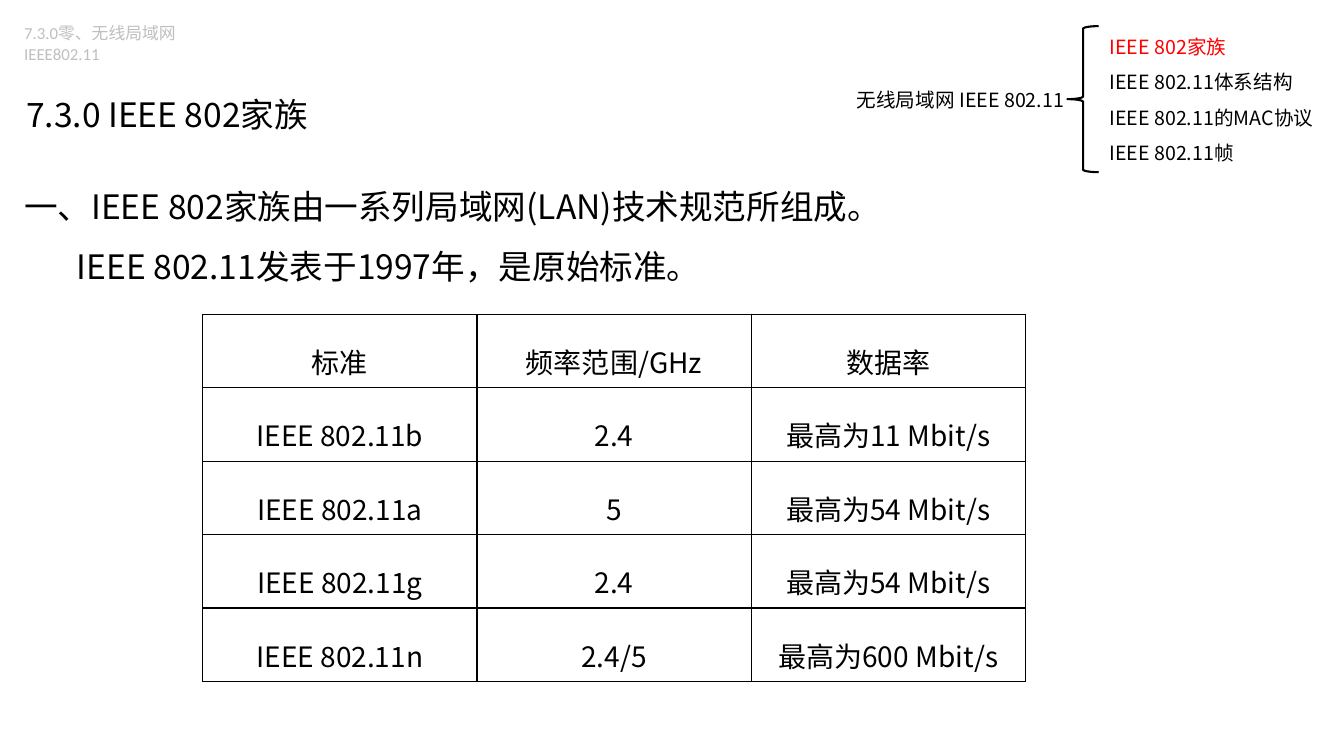
from pptx import Presentation
from pptx import util as u
from pptx.dml import color
from pptx.enum import shapes, text
from pptx.oxml import ns, xmlchemy

Cm, Pt = u.Cm, u.Pt
CJK = "Noto Sans CJK SC"
BLACK, RED, GREY = "000000", "FF0000", "BFBFBF"
ROWS = [
    ("标准", "频率范围/GHz", "数据率"),
    ("IEEE 802.11b", "2.4", "最高为11 Mbit/s"),
    ("IEEE 802.11a", "5", "最高为54 Mbit/s"),
    ("IEEE 802.11g", "2.4", "最高为54 Mbit/s"),
    ("IEEE 802.11n", "2.4/5", "最高为600 Mbit/s"),
]


def rgb(value):
    return color.RGBColor.from_string(value)


def sub(parent, tag, **attrs):
    el = xmlchemy.OxmlElement(tag)
    for name, value in attrs.items():
        el.set(name, value)
    parent.append(el)
    return el


def format_paragraph(p, size, fill=BLACK, font=CJK, spacing=1.5):
    p.line_spacing = spacing
    for r in p.runs:
        r.font.size = Pt(size)
        r.font.name = font
        r.font.color.rgb = rgb(fill)
        if font == CJK:
            latin = r.font._element.find(ns.qn("a:latin"))
            ea = xmlchemy.OxmlElement("a:ea")
            ea.set("typeface", font)
            latin.addnext(ea)


def add_text(s, box, lines, size, **style):
    sp = s.shapes.add_textbox(*map(Cm, box))
    tf = sp.text_frame
    tf.word_wrap = True
    tf.text = "\n".join(lines)
    for p in tf.paragraphs:
        format_paragraph(p, size, **style)
    return tf


def add_brace(s, box):
    sp = s.shapes.add_shape(shapes.MSO_SHAPE.LEFT_BRACE, *map(Cm, box))
    sp.shadow.inherit = False
    sp.fill.background()
    sp.line.color.rgb = rgb(BLACK)
    sp.line.width = Pt(1.5)


def add_borders(cell):
    tc_pr = cell._tc.get_or_add_tcPr()
    for side in "LRTB":
        ln = sub(tc_pr, f"a:ln{side}", w=str(Pt(1)))
        sub(sub(ln, "a:solidFill"), "a:srgbClr", val=BLACK)


def add_standards_table(s, left, top, col_width, row_height):
    n_rows, n_cols = len(ROWS), len(ROWS[0])
    table = s.shapes.add_table(
        n_rows, n_cols, Cm(left), Cm(top),
        Cm(col_width * n_cols), Cm(row_height * n_rows)).table
    table.first_row = False
    table.horz_banding = False
    for i, row in enumerate(ROWS):
        for j, value in enumerate(row):
            cell = table.cell(i, j)
            add_borders(cell)
            cell.fill.background()
            cell.vertical_anchor = text.MSO_ANCHOR.MIDDLE
            cell.text_frame.text = value
            p = cell.text_frame.paragraphs[0]
            p.alignment = text.PP_ALIGN.CENTER
            format_paragraph(p, 20)


def main():
    prs = Presentation()
    prs.slide_width, prs.slide_height = Cm(33.87), Cm(19.05)
    s = prs.slides.add_slide(prs.slide_layouts[6])

    title = add_text(s, (0.36, 1.3, 8.18, 2.64), ["7.3.0 IEEE 802家族"], 24)
    title.vertical_anchor = text.MSO_ANCHOR.MIDDLE
    title.margin_left = title.margin_right = Cm(0.3)

    body = add_text(s, (0.36, 4.04, 31.45, 3.33), [
        "一、IEEE 802家族由一系列局域网(LAN)技术规范所组成。",
        "IEEE 802.11发表于1997年，是原始标准。"], 24)
    indent = body.paragraphs[1]._p.get_or_add_pPr()
    indent.set("marL", str(Cm(1.33)))
    indent.set("indent", "0")

    add_text(s, (0.36, 0.46, 6.2, 0.76), ["7.3.0零、无线局域网IEEE802.11"], 12,
             fill=GREY, font="Calibri", spacing=1.0)
    add_text(s, (21.34, 2.08, 6.05, 0.86), ["无线局域网 IEEE 802.11"], 14,
             spacing=1.0)
    add_brace(s, (26.9, 0.66, 0.79, 3.68))
    topics = add_text(s, (27.71, 0.46, 5.94, 3.84), [
        "IEEE 802家族", "IEEE 802.11体系结构",
        "IEEE 802.11的MAC协议", "IEEE 802.11帧"], 14)
    topics.paragraphs[0].runs[0].font.color.rgb = rgb(RED)

    add_standards_table(s, 5.11, 7.92, 6.91, 1.85)
    prs.save("out.pptx")


if __name__ == "__main__":
    main()
